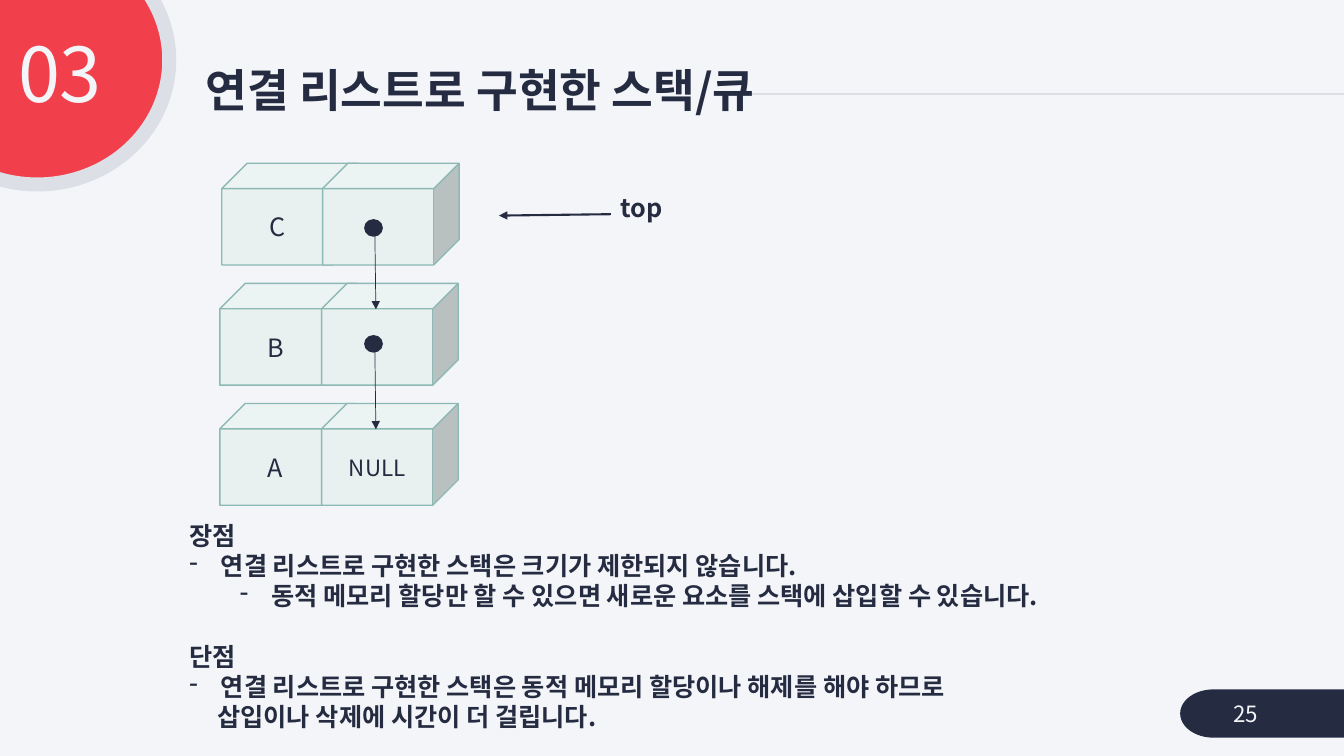
from pptx import Presentation
from pptx.util import Pt
from pptx.dml.color import RGBColor
from pptx.enum import shapes, text
from pptx.oxml.ns import qn
from lxml import etree

FONT = "Noto Sans CJK KR"
NAVY = RGBColor(0x25, 0x2C, 0x41)
PALE = RGBColor(0xF4, 0xF5, 0xF9)
GREY = RGBColor(0xDD, 0xDF, 0xE6)
RED = RGBColor(0xF1, 0x40, 0x4B)
MINT = RGBColor(0xE8, 0xF1, 0xF0)
TEAL = RGBColor(0x8D, 0xB9, 0xB5)

TITLE = "연결 리스트로 구현한 스택/큐"
SECTION = "03"
PAGE = "25"
NODES = [
    (158.4, 230.4, "C", ""),
    (157, 229.7, "B", ""),
    (157, 229.7, "A", "NULL"),
]
POINTERS = [(157, 221), (239.8, 306.7)]
# text, left margin, hanging indent, level, space before
NOTES = [
    ("장점", 0, 0, 0, 0),
    ("연결 리스트로 구현한 스택은 크기가 제한되지 않습니다.", 22.5, 22.5, 0, 0),
    ("동적 메모리 할당만 할 수 있으면 새로운 요소를 스택에 삽입할 수 있습니다.", 58.5, 22.5, 1, 0),
    ("단점", 0, 0, 0, 21.6),
    ("연결 리스트로 구현한 스택은 동적 메모리 할당이나 해제를 해야 하므로", 22.5, 22.5, 0, 0),
    ("삽입이나 삭제에 시간이 더 걸립니다.", 20, 0, 0, 0),
]
NODE_TOP, NODE_STEP, NODE_W, NODE_H = 116.6, 85.8, 97.6, 72.7
DOT_X, DOT_W, DOT_H = 260.6, 12.4, 11.6
LINE_PITCH = 21.6


def style(p, size, color, bold=False):
    for r in p.runs:
        f = r.font
        f.size, f.bold, f.name = Pt(size), bold, FONT
        f.color.rgb = color
        etree.SubElement(r._r.get_or_add_rPr(), qn("a:ea"), typeface=FONT)


def add_shape(s, kind, x, y, w, h, fill, line=None, width=1):
    sp = s.shapes.add_shape(kind, Pt(x), Pt(y), Pt(w), Pt(h))
    sp.shadow.inherit = False
    sp.fill.solid()
    sp.fill.fore_color.rgb = fill
    if line is None:
        sp.line.fill.background()
    else:
        sp.line.color.rgb = line
        sp.line.width = Pt(width)
    return sp


def add_line(s, x1, y1, x2, y2, color, width, arrow=True):
    c = s.shapes.add_connector(
        shapes.MSO_CONNECTOR.STRAIGHT, Pt(x1), Pt(y1), Pt(x2), Pt(y2))
    c.line.color.rgb = color
    c.line.width = Pt(width)
    if arrow:
        etree.SubElement(c.line._get_or_add_ln(), qn("a:tailEnd"), type="triangle")
    etree.SubElement(c._element.spPr, qn("a:effectLst"))


def add_text(s, x, y, w, h, content, size, color, bold=False, middle=False):
    tf = s.shapes.add_textbox(Pt(x), Pt(y), Pt(w), Pt(h)).text_frame
    tf.word_wrap = True
    if middle:
        tf.vertical_anchor = text.MSO_ANCHOR.MIDDLE
    p = tf.paragraphs[0]
    p.text = content
    style(p, size, color, bold)
    return p


def add_cube(s, x, y, label, size):
    sp = add_shape(s, shapes.MSO_SHAPE.CUBE, x, y, NODE_W, NODE_H, MINT, TEAL)
    if label:
        tf = sp.text_frame
        tf.vertical_anchor = text.MSO_ANCHOR.MIDDLE
        p = tf.paragraphs[0]
        p.text = label
        p.alignment = text.PP_ALIGN.CENTER
        style(p, size, NAVY)


def add_notes(s):
    tf = s.shapes.add_textbox(Pt(128.2), Pt(368), Pt(669.6), Pt(160)).text_frame
    tf.word_wrap = True
    for i, (content, margin, hang, level, before) in enumerate(NOTES):
        p = tf.add_paragraph() if i else tf.paragraphs[0]
        p.text = content
        p.level = level
        p.line_spacing = Pt(LINE_PITCH)
        if before:
            p.space_before = Pt(before)
        pPr = p._p.get_or_add_pPr()
        pPr.set("marL", str(Pt(margin)))
        pPr.set("indent", str(-Pt(hang)))
        if hang:
            etree.SubElement(pPr, qn("a:buFontTx"))
            etree.SubElement(pPr, qn("a:buChar"), char="-")
        style(p, 18, NAVY, True)


def main():
    prs = Presentation()
    prs.slide_width, prs.slide_height = Pt(960), Pt(540)
    s = prs.slides.add_slide(prs.slide_layouts[6])
    s.background.fill.solid()
    s.background.fill.fore_color.rgb = PALE

    add_line(s, 528, 67, 960, 67, GREY, 1.5, arrow=False)
    add_shape(s, shapes.MSO_SHAPE.OVAL, -67.7, -46, 188.6, 177.8, RED, GREY, 10)
    add_shape(s, shapes.MSO_SHAPE.FLOWCHART_TERMINATOR, 843, 492.4, 147.6, 34.5, NAVY)
    p = add_text(s, 139.7, 42.5, 447.8, 48.2, TITLE, 32.4, NAVY, True, True)
    p.line_spacing = 0.9
    p = add_text(s, -7.9, 23, 87.8, 66.2, SECTION, 54, PALE)
    p.alignment = text.PP_ALIGN.RIGHT
    p.line_spacing = 0.9
    add_text(s, 874, 495.4, 78.5, 28.8, PAGE, 16, PALE, middle=True)

    for i, (data_x, link_x, data, link) in enumerate(NODES):
        y = NODE_TOP + i * NODE_STEP
        add_cube(s, data_x, y, data, 18)
        add_cube(s, link_x, y, link, 16)
    for y, tip in POINTERS:
        add_shape(s, shapes.MSO_SHAPE.OVAL, DOT_X, y, DOT_W, DOT_H, NAVY, NAVY)
        add_line(s, 267.8, y + DOT_H, 268.5, tip, NAVY, 0.5)

    add_text(s, 436.3, 133.9, 60.5, 38.2, "top", 18, NAVY, True)
    add_line(s, 436.3, 153, 356.4, 154, NAVY, 1.5)
    add_notes(s)
    prs.save("out.pptx")


if __name__ == "__main__":
    main()
